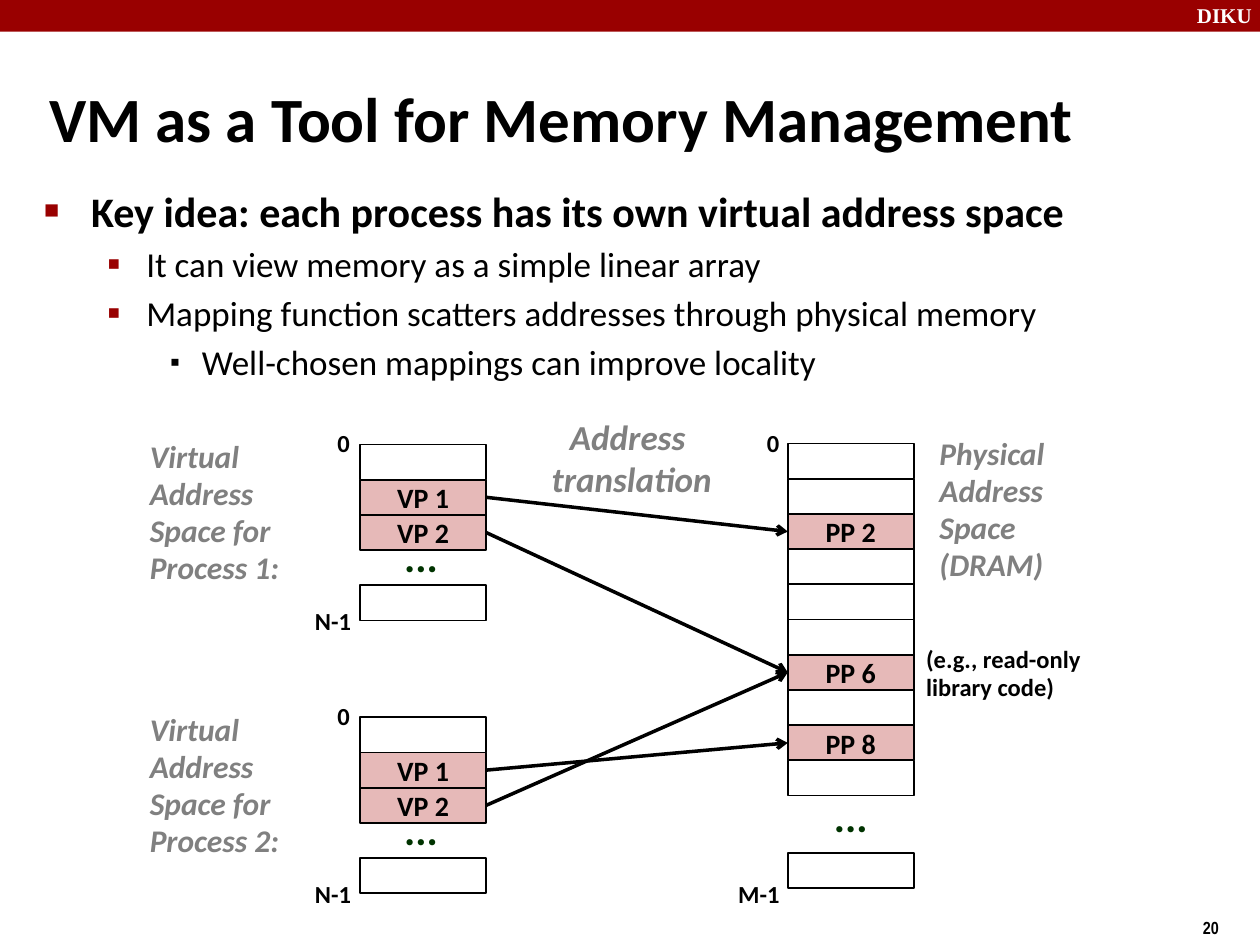
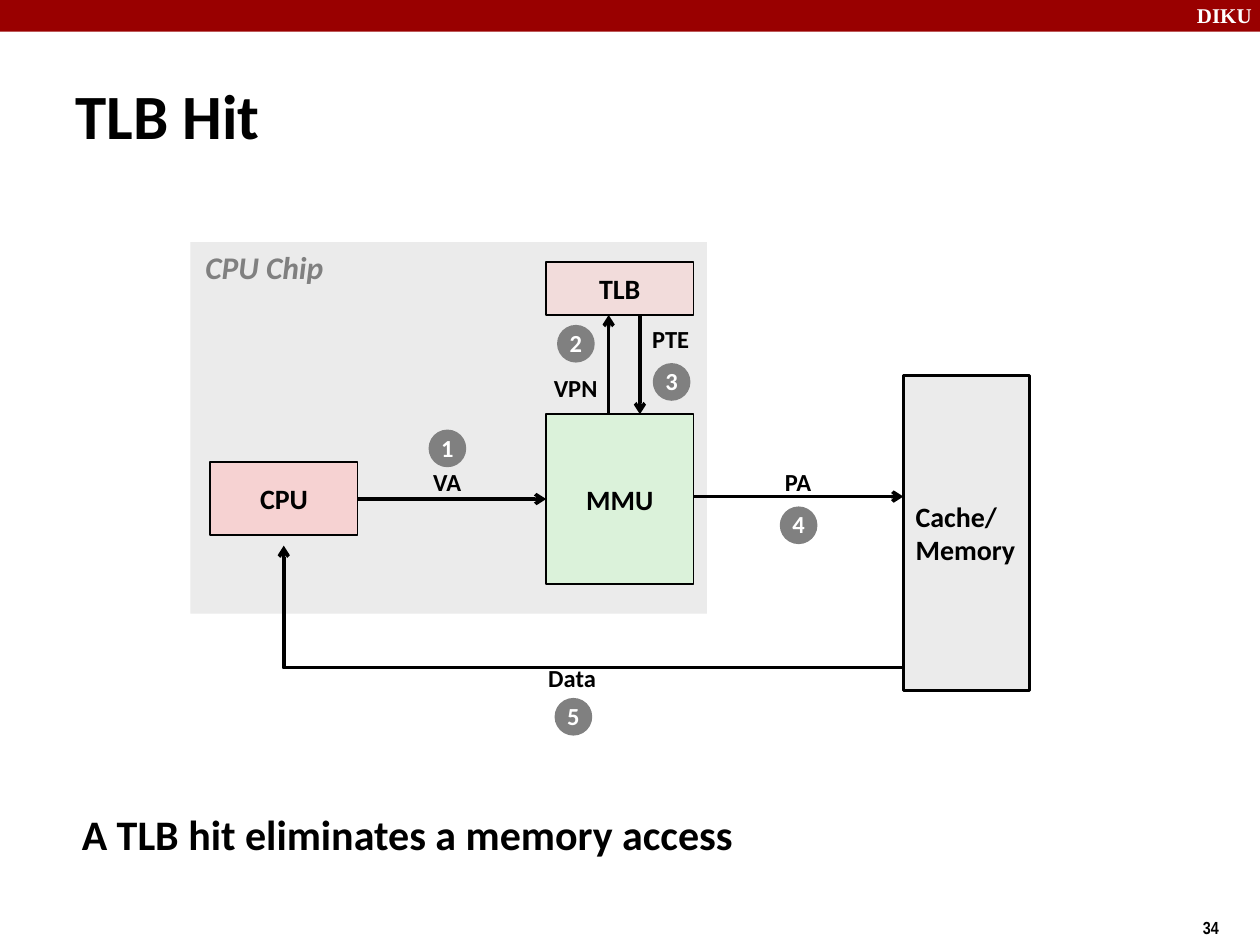
"""Build two lecture slides on virtual memory: memory management and a TLB hit."""
from lxml import etree
from pptx import Presentation
from pptx.dml.color import RGBColor
from pptx.enum.shapes import MSO_CONNECTOR as LINK, MSO_SHAPE as SHAPE
from pptx.enum.text import MSO_ANCHOR as ANCHOR, PP_ALIGN as ALIGN
from pptx.oxml.ns import qn
from pptx.util import Cm, Pt

BLACK = RGBColor(0x00, 0x00, 0x00)
WHITE = RGBColor(0xFF, 0xFF, 0xFF)
CRIMSON = RGBColor(0x99, 0x00, 0x00)
GREY = RGBColor(0x80, 0x80, 0x80)
PALE_GREY = RGBColor(0xEB, 0xEB, 0xEB)
DARK_GREEN = RGBColor(0x00, 0x33, 0x00)
MAPPED_PINK = RGBColor(0xE6, 0xB9, 0xB8)
CPU_PINK = RGBColor(0xF6, 0xD2, 0xD2)
TLB_PINK = RGBColor(0xF2, 0xDC, 0xDB)
MMU_GREEN = RGBColor(0xDB, 0xF2, 0xDA)


def put(slide, box, text, look, kind=None, fill=None, outline=0):
    """Place text, in a preset shape when kind is given."""
    place = [Cm(length) for length in box]
    if kind is None:
        item = slide.shapes.add_textbox(*place)
    else:
        item = slide.shapes.add_shape(kind, *place)
        item.shadow.inherit = False
        if fill is None:
            item.fill.background()
        else:
            item.fill.solid()
            item.fill.fore_color.rgb = fill
        if outline:
            item.line.color.rgb = BLACK
            item.line.width = Pt(outline)
        else:
            item.line.fill.background()
    frame = item.text_frame
    frame.text = text
    for key, value in look["frame"].items():
        setattr(frame, key, value)
    for paragraph in frame.paragraphs:
        for key, value in look["para"].items():
            setattr(paragraph, key, value)
        for key, value in look["font"].items():
            setattr(paragraph.font, key, value)
        paragraph.font.color.rgb = look["color"]
    return item


def arrow(slide, start, end, kind=LINK.STRAIGHT):
    """Draw a black arrow between two points."""
    link = slide.shapes.add_connector(kind, *[Cm(n) for n in (*start, *end)])
    link.line.color.rgb = BLACK
    link.line.width = Pt(2)
    properties = link._element.spPr
    etree.SubElement(properties.find(qn("a:ln")), qn("a:tailEnd"), type="arrow")
    etree.SubElement(properties, qn("a:effectLst"))
    return link


calibri = {"name": "Calibri", "bold": True}
wrapped = {"word_wrap": True, "vertical_anchor": ANCHOR.TOP}
tight = {"word_wrap": False, "vertical_anchor": ANCHOR.TOP, "margin_right": 0}
middle = {"word_wrap": False, "vertical_anchor": ANCHOR.MIDDLE}
even = {"margin_left": 0, "margin_right": 0}
left = {"alignment": ALIGN.LEFT}
centred = {"alignment": ALIGN.CENTER}
snug = {"line_spacing": 0.98}

TITLE = {"font": calibri | {"size": Pt(36)}, "para": left, "color": BLACK,
         "frame": middle | {"word_wrap": True}}
BODY = {"font": calibri | {"size": Pt(24)}, "para": left, "frame": wrapped, "color": BLACK}
BRAND = {"font": {"name": "Times New Roman", "size": Pt(12), "bold": True},
         "para": left, "frame": tight, "color": WHITE}
NUMBER = {"font": {"name": "Arial Narrow", "size": Pt(10), "bold": True},
          "para": left, "frame": wrapped, "color": BLACK}
CAPTION = {"font": calibri | {"size": Pt(18), "italic": True},
           "para": left | snug, "frame": wrapped, "color": GREY}
CHIP = CAPTION | {"para": left, "frame": tight}
HEADING = {"font": calibri | {"size": Pt(20), "italic": True},
           "para": centred, "frame": tight | even, "color": GREY}
BOUND = {"font": calibri | {"size": Pt(14)}, "para": left | snug, "frame": tight, "color": BLACK}
NOTE = BOUND | {"frame": wrapped}
SIGNAL = BOUND | {"para": centred | snug, "frame": middle | even}
STEP = SIGNAL | {"color": WHITE}
DOTS = {"font": calibri | {"size": Pt(24)}, "para": left | {"line_spacing": 0.88},
        "frame": tight, "color": DARK_GREEN}
UNIT = {"font": calibri | {"size": Pt(16)}, "para": centred, "frame": middle | even,
        "color": BLACK}
STORE = UNIT | {"para": left, "frame": middle | {"margin_right": 0}}

deck = Presentation()
deck.slide_width, deck.slide_height = Cm(25.4), Cm(19.05)
pages = []
for number, title, title_box in (
    ("20", "VM as a Tool for Memory Management", (0.74, 1.57, 23.93, 1.6)),
    ("34", "TLB Hit", (1.27, 1.22, 24.1, 2.18)),
):
    page = deck.slides.add_slide(deck.slide_layouts[6])
    put(page, (0, 0, 25.4, 0.64), "", BRAND, SHAPE.RECTANGLE, CRIMSON)
    put(page, (23.88, -0.08, 1.52, 0.76), "DIKU", BRAND)
    put(page, (24, 18.36, 1.4, 0.69), number, NUMBER)
    put(page, title_box, title, TITLE)
    pages.append(page)
management, tlb_hit = pages

bullet_levels = [
    {"mark": "■", "color": "990000", "percent": 60, "margin": 0.95, "hang": 0.95, "size": 24},
    {"mark": "▪", "color": "990000", "percent": 110, "margin": 2.06, "hang": 0.79, "size": 20},
    {"mark": "▪", "color": "000000", "percent": 80, "margin": 3.18, "hang": 0.64, "size": 20},
]
ideas = [
    (0, "Key idea: each process has its own virtual address space"),
    (1, "It can view memory as a simple linear array"),
    (1, "Mapping function scatters addresses through physical memory"),
    (2, "Well-chosen mappings can improve locality"),
]
key_idea = put(management, (0.64, 3.61, 21.79, 3.48),
               "\n".join(idea for _, idea in ideas), BODY)
for paragraph, (level, _) in zip(key_idea.text_frame.paragraphs, ideas):
    bullet = bullet_levels[level]
    properties = paragraph._p.get_or_add_pPr()
    properties.set("marL", str(Cm(bullet["margin"])))
    properties.set("indent", str(-Cm(bullet["hang"])))
    tint = etree.Element(qn("a:buClr"))
    etree.SubElement(tint, qn("a:srgbClr"), val=bullet["color"])
    defaults = properties.find(qn("a:defRPr"))
    marks = [
        tint,
        etree.Element(qn("a:buSzPct"), val=str(bullet["percent"] * 1000)),
        etree.Element(qn("a:buFont"), typeface="Times New Roman"),
        etree.Element(qn("a:buChar"), char=bullet["mark"]),
    ]
    for mark in marks:
        if defaults is None:
            properties.append(mark)
        else:
            defaults.addprevious(mark)
    paragraph.level = level
    paragraph.font.size = Pt(bullet["size"])
    paragraph.font.bold = level == 0
    if level:
        paragraph.space_before = Pt(4)

row_height, row_width = 0.71, 2.54
virtual_left, physical_left, physical_top = 7.26, 15.88, 8.94
process_tops = (8.96, 14.46)

for process, top in enumerate(process_tops, 1):
    put(management, (2.77, top - 0.23, 3.81, 3.25),
        f"Virtual Address Space for Process {process}:", CAPTION)
    put(management, (6.55, top - 0.43, 0.76, 0.84), "0", BOUND)
    put(management, (6.1, top + 3.17, 1.24, 0.84), "N-1", BOUND)
    for row, name in ((0, ""), (1, "VP 1"), (2, "VP 2"), (4, "")):
        put(management, (virtual_left, top + row * row_height, row_width, row_height), name,
            UNIT, SHAPE.RECTANGLE, MAPPED_PINK if name else None, 1)
    put(management, (7.9, top + 1.75, 1.17, 1.27), "...", DOTS)

mapped_frames = {2: "PP 2", 6: "PP 6", 8: "PP 8"}
for row in range(10):
    name = mapped_frames.get(row, "")
    put(management, (physical_left, physical_top + row * row_height, row_width, row_height), name,
        UNIT, SHAPE.RECTANGLE, MAPPED_PINK if name else None, 1)
put(management, (physical_left, 17.2, row_width, row_height), "", UNIT, SHAPE.RECTANGLE, None, 1)

for box, text, look in (
    ((16.56, 15.95, 1.17, 1.27), "...", DOTS),
    ((15.21, 8.53, 0.76, 0.84), "0", BOUND),
    ((14.63, 17.63, 1.35, 0.84), "M-1", BOUND),
    ((18.69, 8.66, 2.97, 3.25), "Physical\nAddress\nSpace (DRAM)", CAPTION),
    ((18.42, 12.88, 4.01, 1.42), "(e.g., read-only\nlibrary code)", NOTE),
    ((10.87, 8.26, 3.73, 1.96), "Address \ntranslation", HEADING),
):
    put(management, box, text, look)

for process, virtual_page, frame_row in ((0, 1, 2), (0, 2, 6), (1, 2, 6), (1, 1, 8)):
    arrow(management,
          (virtual_left + row_width, process_tops[process] + (virtual_page + 0.5) * row_height),
          (physical_left, physical_top + (frame_row + 0.5) * row_height))

put(tlb_hit, (3.84, 4.88, 10.41, 7.49), "", UNIT, SHAPE.RECTANGLE, PALE_GREY)
put(tlb_hit, (3.89, 4.88, 2.9, 1.02), "CPU Chip", CHIP)
for box, name, look, fill, outline in (
    ((11.01, 8.35, 2.97, 3.43), "MMU", UNIT, MMU_GREEN, 1),
    ((18.21, 7.57, 2.54, 6.35), "Cache/\nMemory", STORE, PALE_GREY, 1.5),
    ((4.24, 9.32, 2.97, 1.47), "CPU", UNIT, CPU_PINK, 1),
    ((11.01, 5.28, 2.97, 1.07), "TLB", UNIT, TLB_PINK, 1),
):
    put(tlb_hit, box, name, look, SHAPE.RECTANGLE, fill, outline)

for start, end in (
    ((7.21, 10.06), (11.01, 10.06)),
    ((12.27, 8.35), (12.27, 6.35)),
    ((12.9, 6.35), (12.9, 8.35)),
    ((13.98, 10.01), (18.21, 10.01)),
):
    arrow(tlb_hit, start, end)
data_return = arrow(tlb_hit, (5.72, 11), (18.21, 13.46), LINK.ELBOW)
data_return._element.spPr.find(qn("a:prstGeom")).set("prst", "bentConnector2")
data_return._element.spPr.find(qn("a:xfrm")).set("rot", "10800000")

signals = [
    ("VA", (8.48, 9.32, 1.07, 0.84), (8.64, 8.66)),
    ("VPN", (10.92, 7.42, 1.37, 0.84), (11.23, 6.55)),
    ("PTE", (12.9, 6.43, 1.24, 0.84), (13.16, 7.32)),
    ("PA", (15.57, 9.32, 1.04, 0.84), (15.72, 10.21)),
    ("Data", (10.8, 13.26, 1.47, 0.84), (11.18, 14.07)),
]
for step, (signal, box, corner) in enumerate(signals, 1):
    put(tlb_hit, box, signal, SIGNAL)
    put(tlb_hit, (*corner, 0.76, 0.76), str(step), STEP, SHAPE.OVAL, GREY)
put(tlb_hit, (1.4, 16.18, 19.96, 1.6), "A TLB hit eliminates a memory access", BODY)

deck.save("out.pptx")
